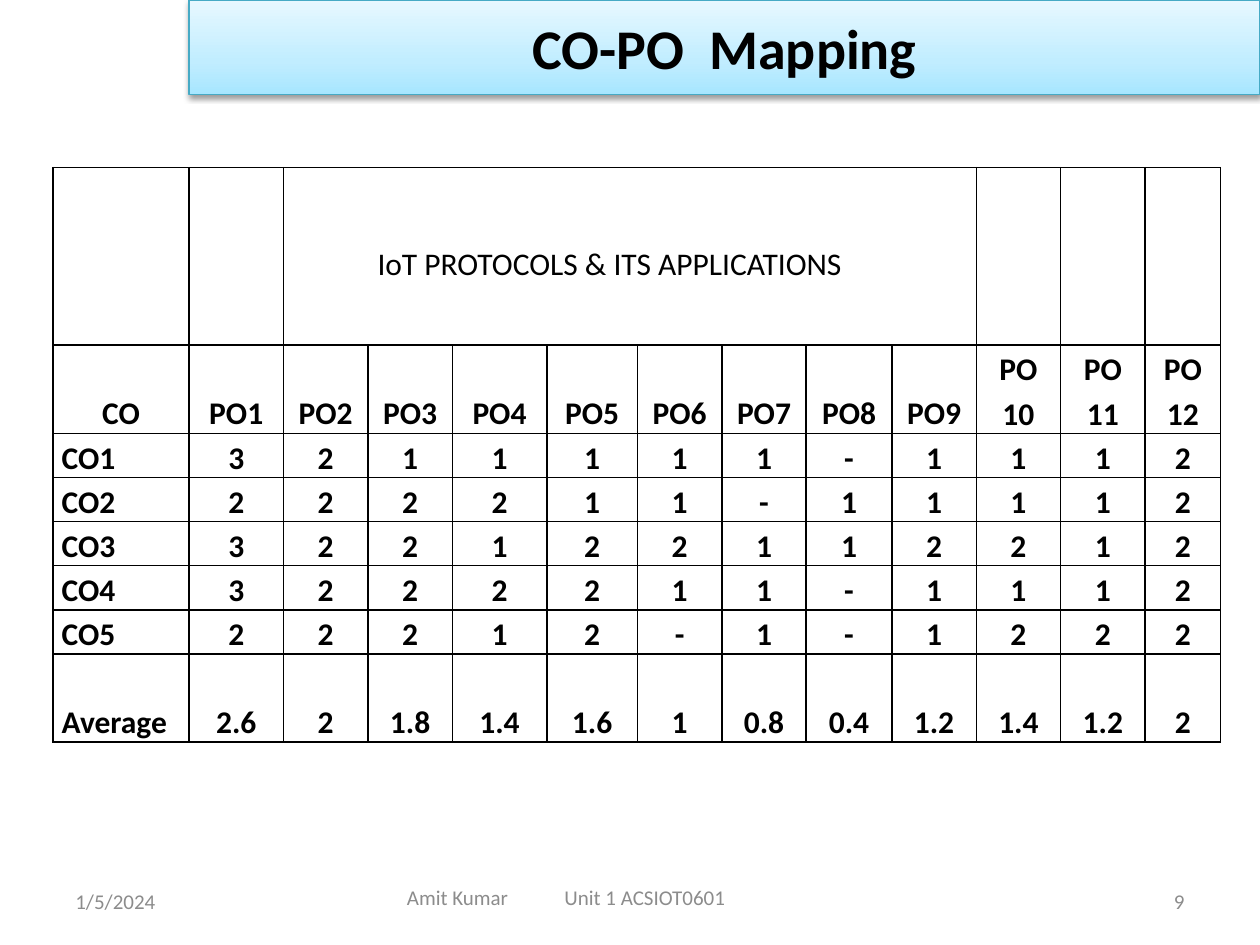
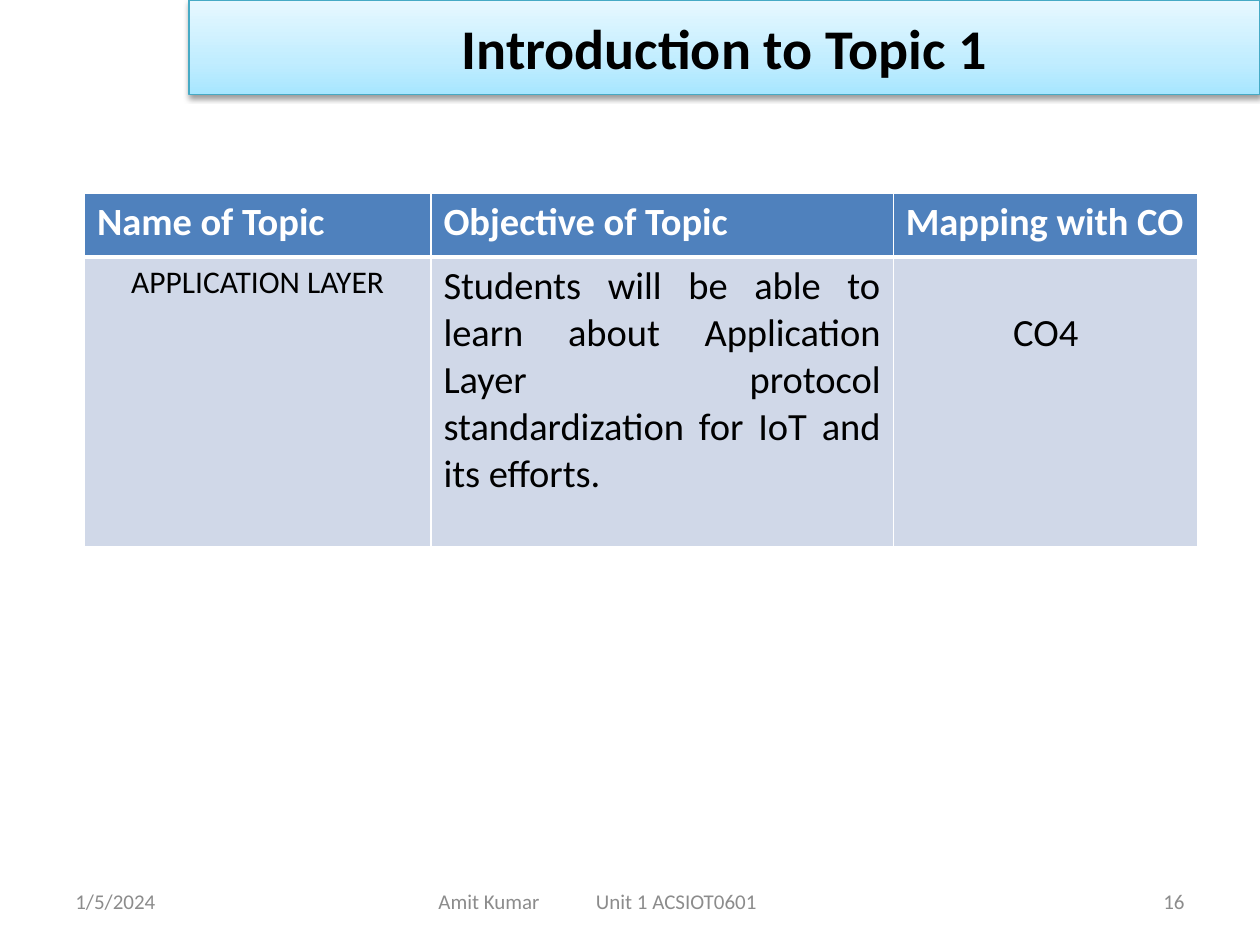
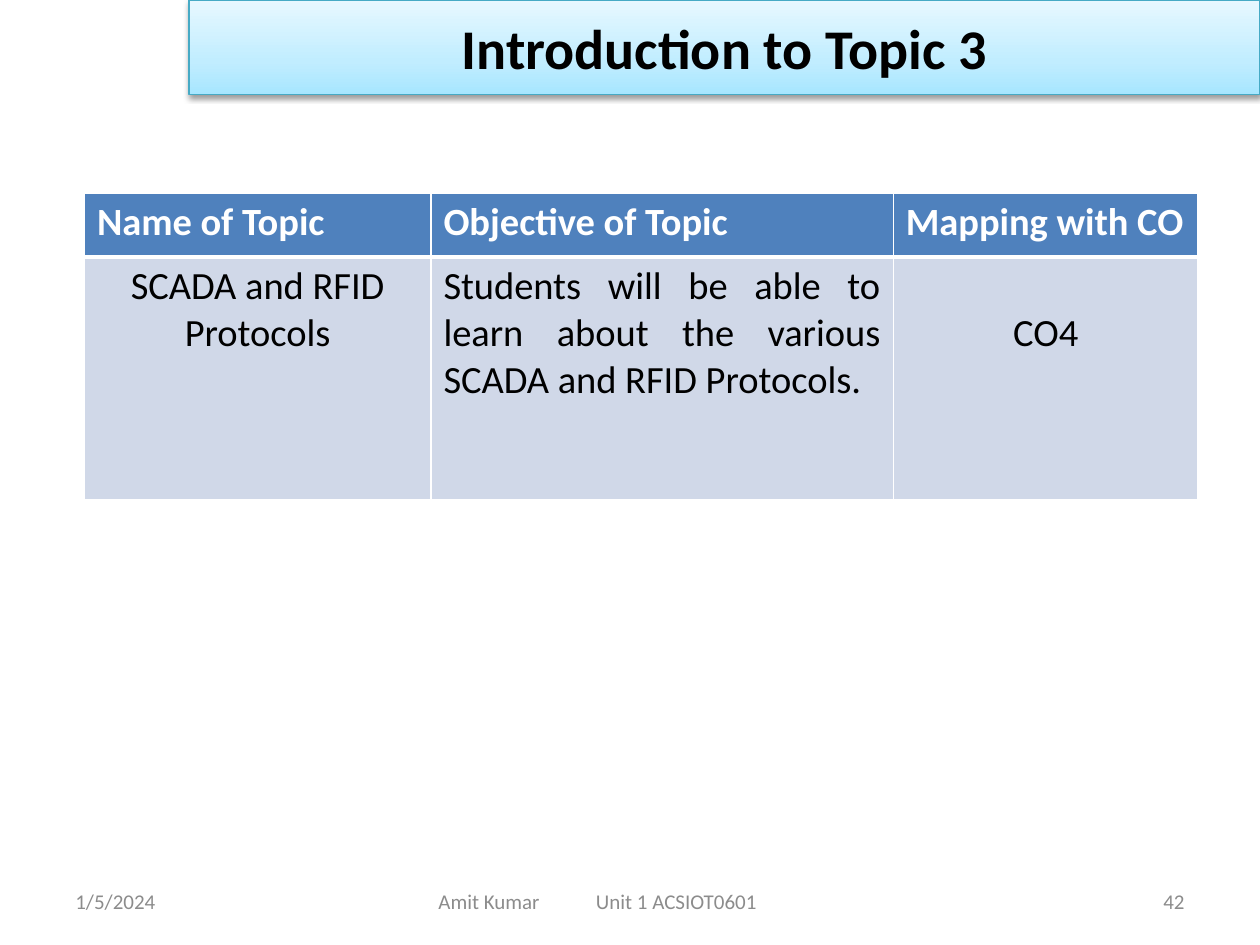
from pptx import Presentation
from pptx.dml.color import RGBColor
from pptx.enum.text import MSO_ANCHOR, PP_ALIGN
from pptx.oxml import parse_xml
from pptx.oxml.ns import nsdecls
from pptx.util import Inches, Pt

LEFT, MID, RIGHT, JUST = PP_ALIGN.LEFT, PP_ALIGN.CENTER, PP_ALIGN.RIGHT, PP_ALIGN.JUSTIFY
CENTRE, BOTTOM = MSO_ANCHOR.MIDDLE, MSO_ANCHOR.BOTTOM

BLACK = RGBColor(0x00, 0x00, 0x00)
WHITE = RGBColor(0xFF, 0xFF, 0xFF)
GREY = RGBColor(0x8C, 0x8C, 0x8C)
TEAL = RGBColor(0x46, 0xAA, 0xC5)
BLUE = RGBColor(0x4F, 0x81, 0xBD)
PALE = RGBColor(0xD0, 0xD8, 0xE8)
FONT = "Calibri"

# Light blue band and soft shadow behind every title
BAND = f"""<a:gradFill {nsdecls('a')} rotWithShape="1"><a:gsLst>
<a:gs pos="0"><a:srgbClr val="A7E6FF"/></a:gs>
<a:gs pos="35000"><a:srgbClr val="C1EDFF"/></a:gs>
<a:gs pos="100000"><a:srgbClr val="E7F8FF"/></a:gs>
</a:gsLst><a:lin ang="16200000" scaled="1"/></a:gradFill>"""
SHADOW = f"""<a:effectLst {nsdecls('a')}>
<a:outerShdw blurRad="40000" dist="20000" dir="5400000" rotWithShape="0">
<a:srgbClr val="000000"><a:alpha val="38000"/></a:srgbClr>
</a:outerShdw></a:effectLst>"""
TABS = f'<a:tabLst {nsdecls("a")}><a:tab pos="{Inches(1.25)}" algn="l"/></a:tabLst>'


def write(frame, text, size, color, align=LEFT, bold=False):
    para = frame.paragraphs[0]
    para.alignment = align
    run = para.add_run()
    run.text = text
    font = run.font
    font.name, font.size, font.bold = FONT, Pt(size), bold
    font.color.rgb = color
    return para


def edge(cell, color, base=1):
    """Draw the four cell borders; base is the width of the lower one."""
    props = cell._tc.get_or_add_tcPr()
    for side, width in zip("LRTB", (1, 1, 1, base)):
        props.append(parse_xml(
            f'<a:ln{side} {nsdecls("a")} w="{Pt(width)}"><a:solidFill>'
            f'<a:srgbClr val="{color}"/></a:solidFill></a:ln{side}>'))


deck = Presentation()
deck.slide_width, deck.slide_height = Inches(10), Inches(7.5)

# Titles and footers: title, page number, left and top of the middle footer
pages = [
    ("CO-PO  Mapping", "9", 2.5, 6.92),
    ("Introduction to Topic 1", "16", 2.75, 6.95),
    ("Introduction to Topic 3", "42", 2.75, 6.95),
]
slides = []
for name, page, foot_x, foot_y in pages:
    slide = deck.slides.add_slide(deck.slide_layouts[5])
    slides.append(slide)

    title = slide.shapes.title
    title.left, title.top = Inches(1.5), Inches(0)
    title.width, title.height = Inches(8.5), Inches(0.75)
    title._element.spPr.append(parse_xml(BAND))
    title.line.color.rgb = TEAL
    title.line.width = Pt(0.75)
    title._element.spPr.append(parse_xml(SHADOW))
    title.text_frame.vertical_anchor = CENTRE
    write(title.text_frame, name, 32, BLACK, MID, True)

    for x, y, width, text, align in (
        (0.5, 6.95, 2.33, "1/5/2024", LEFT),
        (foot_x, foot_y, 5.5, "Amit Kumar\tUnit 1 ACSIOT0601", LEFT),
        (7.17, 6.95, 2.33, page, RIGHT),
    ):
        box = slide.shapes.add_textbox(Inches(x), Inches(y), Inches(width), Inches(0.4))
        frame = box.text_frame
        frame.word_wrap = True
        frame.vertical_anchor = CENTRE
        para = write(frame, text, 12, GREY, align)
        if "\t" in text:
            frame.margin_left = Inches(0.73)
            para._p.get_or_add_pPr().append(parse_xml(TABS))

# Slide 1: course outcomes against programme outcomes
heads = ["CO"] + [f"PO{n}" for n in range(1, 10)] + [f"PO {n}" for n in (10, 11, 12)]
rows = [
    [""] * 13,
    heads,
    "CO1 3 2 1 1 1 1 1 - 1 1 1 2".split(),
    "CO2 2 2 2 2 1 1 - 1 1 1 1 2".split(),
    "CO3 3 2 2 1 2 2 1 1 2 2 1 2".split(),
    "CO4 3 2 2 2 2 1 1 - 1 1 1 2".split(),
    "CO5 2 2 2 1 2 - 1 - 1 2 2 2".split(),
    "Average 2.6 2 1.8 1.4 1.6 1 0.8 0.4 1.2 1.4 1.2 2".split(),
]
wide = [1.08, 0.75, 0.67, 0.67, 0.75, 0.72, 0.67, 0.67, 0.68, 0.67, 0.67, 0.67, 0.6]
tall = [1.41, 0.7] + [0.35] * 5 + [0.7]
grid = slides[0].shapes.add_table(
    len(tall), len(wide), Inches(0.42), Inches(1.33),
    Inches(sum(wide)), Inches(sum(tall))).table
grid.first_row = grid.horz_banding = False
for col, width in zip(grid.columns, wide):
    col.width = Inches(width)
for r, row in enumerate(rows):
    grid.rows[r].height = Inches(tall[r])
    for c, text in enumerate(row):
        cell = grid.cell(r, c)
        edge(cell, BLACK)
        cell.fill.background()
        cell.vertical_anchor = BOTTOM
        cell.margin_left = cell.margin_right = Inches(0.07)
        cell.margin_top = cell.margin_bottom = 0
        if text:
            align = LEFT if c == 0 and r > 1 else MID
            write(cell.text_frame, text, 18, BLACK, align, True).line_spacing = 1.15

course = grid.cell(0, 2)
course.merge(grid.cell(0, 9))
course.margin_right, course.margin_bottom = Inches(0.39), Inches(0.49)
write(course.text_frame, "IoT PROTOCOLS & ITS APPLICATIONS", 18, BLACK, MID).line_spacing = 1.15

# Slides 2 and 3: topic, objective and mapped outcome
topics = [
    ("APPLICATION LAYER", 18, 2.3,
     "Students will be able to learn about Application Layer protocol "
     "standardization for IoT and its efforts."),
    ("SCADA and RFID Protocols", 22, 1.93,
     "Students will be able to learn about the various SCADA and RFID Protocols."),
]
labels = ["Name of Topic", "Objective of Topic", "Mapping with CO"]
wide = [2.75, 3.67, 2.42]
for slide, (topic, size, depth, goal) in zip(slides[1:], topics):
    grid = slide.shapes.add_table(
        2, 3, Inches(0.67), Inches(1.53), Inches(sum(wide)), Inches(0.51 + depth)).table
    grid.rows[0].height, grid.rows[1].height = Inches(0.51), Inches(depth)
    body = [(topic, size, MID), (goal, 22, JUST), ("CO4", 22, MID)]
    for c, (text, points, align) in enumerate(body):
        grid.columns[c].width = Inches(wide[c])
        head, cell = grid.cell(0, c), grid.cell(1, c)
        edge(head, WHITE, 3)
        edge(cell, WHITE)
        for part, color in ((head, BLUE), (cell, PALE)):
            part.fill.solid()
            part.fill.fore_color.rgb = color
        write(head.text_frame, labels[c], 22, WHITE, LEFT, True)
        write(cell.text_frame, text, points, BLACK, align)
    grid.cell(1, 2).margin_top = Inches(0.42)

deck.save("out.pptx")
